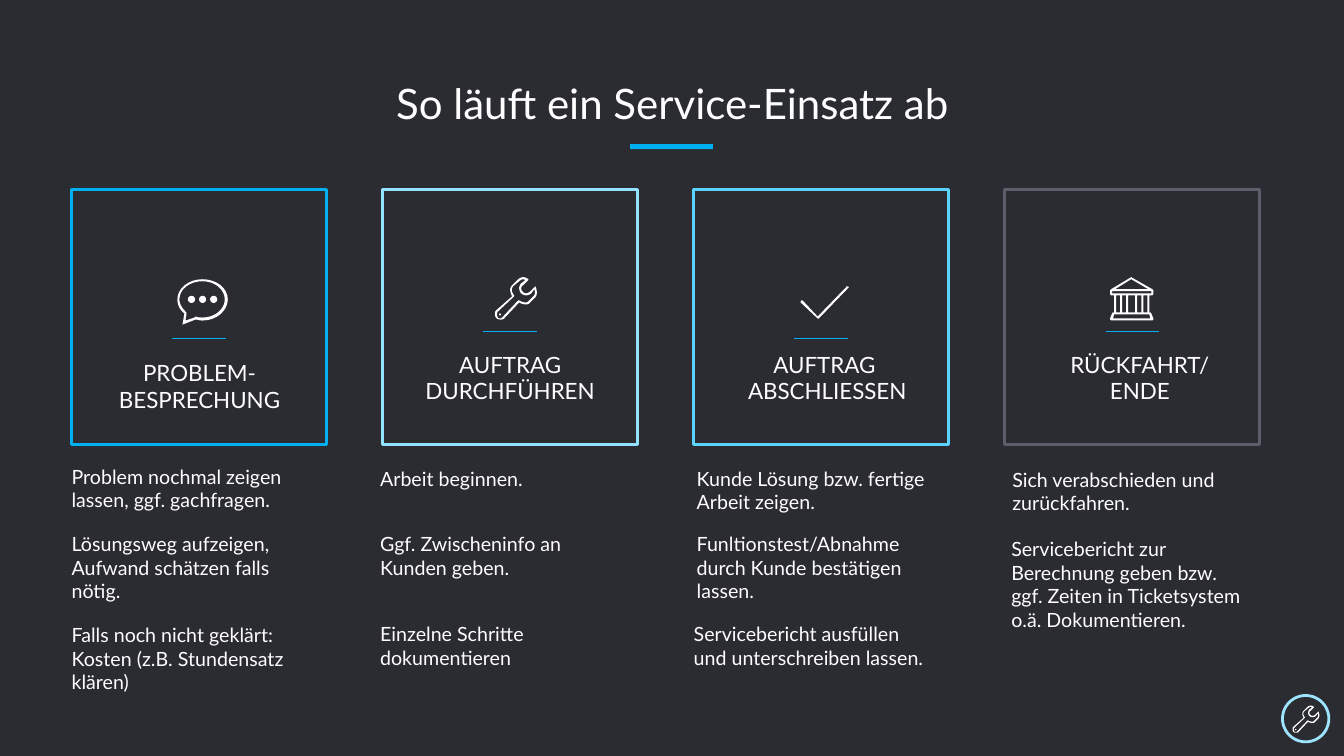
import pptx
import pptx.dml.color
import pptx.enum.shapes
import pptx.enum.text
import pptx.oxml
import pptx.util
from dataclasses import dataclass

Inches = pptx.util.Inches
Pt = pptx.util.Pt
SHAPE = pptx.enum.shapes.MSO_SHAPE
ALIGN = pptx.enum.text.PP_ALIGN
AUTO = pptx.enum.text.MSO_AUTO_SIZE

BACKGROUND, WHITE, BLUE = "2B2C31", "FEFDFF", "00B0F0"
CARD_LEFT, CARD_TOP, CARD_SIZE, CARD_PITCH = 0.71, 1.88, 2.53, 3.085
NOTE_WIDTH = 2.38

# Contours in hundredths of an inch: two numbers are a corner, six a Bézier curve
Contour = list[tuple[float, ...]]


def box(x1: float, y1: float, x2: float, y2: float) -> Contour:
    return [(x1, y1), (x2, y1), (x2, y2), (x1, y2)]


def dot(x: float, y: float, r: float) -> Contour:
    k = 0.55 * r
    return [(x, y - r), (x + k, y - r, x + r, y - k, x + r, y),
            (x + r, y + k, x + k, y + r, x, y + r),
            (x - k, y + r, x - r, y + k, x - r, y),
            (x - r, y - k, x - k, y - r, x, y - r)]


SPEECH_BUBBLE: list[Contour] = [
    [(25, 0), (11, 0, 0, 9, 0, 20), (0, 26, 3, 31, 7, 34), (5, 45), (18, 40),
     (20, 40, 22, 41, 25, 41), (39, 41, 50, 31, 50, 20), (50, 9, 39, 0, 25, 0)],
    [(25, 38), (23, 38, 21, 38, 18, 37), (17, 38), (8, 41), (9, 35),
     (9, 34, 9, 33, 9, 33), (5, 29, 2, 25, 2, 20), (2, 10, 12, 2, 25, 2),
     (37, 2, 47, 10, 47, 20), (47, 30, 37, 38, 25, 38)],
    *[dot(x, 20, 3.5) for x in (14, 25, 36)],
]
WRENCH: list[Contour] = [
    dot(5, 37, 1),
    [(40, 9), (39, 10), (35, 14), (34, 15, 32, 16, 31, 16),
     (29, 16, 26, 14, 26, 11), (26, 10, 27, 8, 28, 8), (26, 6),
     (25, 7, 24, 9, 24, 11), (24, 15, 27, 18, 31, 18), (33, 18, 35, 17, 36, 16),
     (39, 12), (40, 15, 40, 17, 38, 19), (33, 24), (32, 25, 31, 25, 30, 25),
     (30, 25, 27, 25, 24, 23), (23, 23), (8, 39), (7, 40, 6, 41, 5, 41),
     (3, 41, 2, 39, 2, 37), (2, 36, 2, 35, 3, 34), (19, 19), (19, 18),
     (16, 14, 16, 12, 18, 9), (24, 4), (25, 3, 27, 2, 28, 2),
     (28, 2, 29, 2, 30, 3), (26, 6), (28, 8), (33, 3), (33, 2),
     (32, 1, 30, 0, 28, 0), (26, 0, 24, 1, 22, 3), (17, 8),
     (14, 11, 15, 15, 17, 19), (1, 33), (0, 34, 0, 35, 0, 37),
     (0, 40, 2, 42, 5, 42), (7, 42, 8, 42, 9, 41), (24, 25),
     (27, 27, 30, 27, 30, 27), (32, 27, 33, 27, 34, 26), (40, 20),
     (42, 18, 42, 13, 40, 9)],
]
CHECK_MARK: list[Contour] = [
    [(48, 1), (47, 0), (46, 0), (17, 30), (2, 14), (1, 14), (0, 15), (0, 16),
     (17, 32), (18, 32), (47, 2)],
]
BANK: list[Contour] = [
    [(21, 0), (42, 12), (43, 13), (43, 17), (42, 18), (39, 18), (39, 35),
     (40, 35), (41, 36), (43, 41), (43, 42), (42, 43), (1, 43), (0, 42), (0, 41),
     (2, 36), (3, 35), (4, 35), (4, 18), (1, 18), (0, 17), (0, 13), (1, 12)],
    [(21, 2), (38, 12), (5, 12)],
    box(2, 14, 41, 16),
    *[box(x1, 18, x2, 35)
      for x1, x2 in ((6, 10), (12, 16), (18, 25), (27, 31), (33, 37))],
    [(39, 37), (40, 41), (3, 41), (4, 37)],
]


@dataclass
class Note:
    left: float
    top: float
    height: float
    text: str


@dataclass
class Card:
    color: str
    label: str
    label_left: float
    label_top: float
    label_width: float
    rule_top: float
    icon: list[Contour]
    icon_left: float
    icon_top: float
    notes: list[Note]


CARDS = [
    Card(BLUE, "PROBLEM-\vBESPRECHUNG", 1.16, 3.56, 1.64, 3.36, SPEECH_BUBBLE, 1.76, 2.77, [
        Note(0.71, 4.61, 0.47, "Problem nochmal zeigen lassen, ggf. gachfragen."),
        Note(0.71, 5.28, 0.71, "Lösungsweg aufzeigen, Aufwand schätzen falls nötig."),
        Note(0.71, 6.18, 0.71, "Falls noch nicht geklärt: Kosten (z.B. Stundensatz klären)")]),
    Card("93E2FF", "AUFTRAG\nDURCHFÜHREN", 4.2, 3.48, 1.72, 3.29, WRENCH, 4.91, 2.75, [
        Note(3.77, 4.63, 0.24, "Arbeit beginnen."),
        Note(3.77, 5.28, 0.47, "Ggf. Zwischeninfo an Kunden geben."),
        Note(3.77, 6.17, 0.47, "Einzelne Schritte dokumentieren")]),
    Card("5CD3FF", "AUFTRAG \nABSCHLIESSEN", 7.4, 3.48, 1.61, 3.36, CHECK_MARK, 7.94, 2.84, [
        Note(6.91, 4.63, 0.47, "Kunde Lösung bzw. fertige Arbeit zeigen."),
        Note(6.91, 5.28, 0.71, "Funltionstest/Abnahme durch Kunde bestätigen lassen."),
        Note(6.88, 6.17, 0.47, "Servicebericht ausfüllen und unterschreiben lassen.")]),
    Card("5B5D68", "RÜCKFAHRT/\nENDE", 10.58, 3.48, 1.45, 3.29, BANK, 11.01, 2.75, [
        Note(10.04, 4.64, 0.47, "Sich verabschieden und zurückfahren."),
        Note(10.03, 5.33, 0.94, "Servicebericht zur Berechnung geben bzw. ggf. Zeiten in "
                                "Ticketsystem o.ä. Dokumentieren.")]),
]


def rgb(color: str) -> pptx.dml.color.RGBColor:
    return pptx.dml.color.RGBColor.from_string(color)


def paint(sp, fill: str = "", line: str = "", width: float = 0) -> None:
    sp.shadow.inherit = False
    if fill:
        sp.fill.solid()
        sp.fill.fore_color.rgb = rgb(fill)
    else:
        sp.fill.background()
    if line:
        sp.line.color.rgb = rgb(line)
        sp.line.width = Pt(width)
    else:
        sp.line.fill.background()


def add_text(s, text: str, left: float, top: float, width: float, height: float,
             size: float, align=ALIGN.LEFT, wrap: bool = True) -> None:
    sp = s.shapes.add_textbox(Inches(left), Inches(top), Inches(width), Inches(height))
    tf = sp.text_frame
    tf.margin_left = tf.margin_right = tf.margin_top = tf.margin_bottom = 0
    tf.word_wrap = wrap
    tf.auto_size = AUTO.SHAPE_TO_FIT_TEXT
    tf.text = text
    for p in tf.paragraphs:
        p.alignment = align
        for r in p.runs:
            r.font.name = "Lato"
            r.font.size = Pt(size)
            r.font.color.rgb = rgb(WHITE)


def add_rule(s, left: float, top: float, width: float) -> None:
    line = s.shapes.add_connector(pptx.enum.shapes.MSO_CONNECTOR.STRAIGHT, Inches(left),
                                  Inches(top), Inches(left + width), Inches(top))
    line.line.color.rgb = rgb(BLUE)
    line.line.width = Pt(0.5)
    line._element.spPr.append(pptx.oxml.parse_xml(
        '<a:effectLst xmlns:a="http://schemas.openxmlformats.org/drawingml/2006/main"/>'))


def flatten(contour: Contour, steps: int = 8) -> list[tuple[float, float]]:
    points = [contour[0]]
    for part in contour[1:]:
        if len(part) == 2:
            points.append(part)
            continue
        (x0, y0), (x1, y1, x2, y2, x3, y3) = points[-1], part
        for i in range(1, steps + 1):
            t = i / steps
            a, b, c, d = (1 - t) ** 3, 3 * t * (1 - t) ** 2, 3 * t * t * (1 - t), t ** 3
            points.append((a * x0 + b * x1 + c * x2 + d * x3,
                           a * y0 + b * y1 + c * y2 + d * y3))
    return [(x * 100, y * 100) for x, y in points]


def add_icon(s, icon: list[Contour], left: float, top: float, zoom: float = 1) -> None:
    outlines = [flatten(contour) for contour in icon]
    builder = s.shapes.build_freeform(*outlines[0][0], scale=Inches(1) / 10000 * zoom)
    for i, points in enumerate(outlines):
        if i:
            builder.move_to(*points[0])
        builder.add_line_segments(points[1:], close=True)
    paint(builder.convert_to_shape(Inches(left), Inches(top)), fill=WHITE)


def add_card(s, card: Card, left: float) -> None:
    sp = s.shapes.add_shape(SHAPE.RECTANGLE, Inches(left), Inches(CARD_TOP),
                            Inches(CARD_SIZE), Inches(CARD_SIZE))
    paint(sp, line=card.color, width=2.5)
    add_icon(s, card.icon, card.icon_left, card.icon_top)
    add_rule(s, left + 1, card.rule_top, 0.53)
    add_text(s, card.label, card.label_left, card.label_top, card.label_width, 0.54,
             16, ALIGN.CENTER, wrap=False)
    for note in card.notes:
        add_text(s, note.text, note.left, note.top, NOTE_WIDTH, note.height, 14)


def main() -> None:
    prs = pptx.Presentation()
    prs.slide_width, prs.slide_height = Inches(13.33), Inches(7.5)
    s = prs.slides.add_slide(prs.slide_layouts[6])
    s.background.fill.solid()
    s.background.fill.fore_color.rgb = rgb(BACKGROUND)

    # Title with accent bar
    add_text(s, "So läuft ein Service-Einsatz ab", 3.2, 0.77, 6.94, 0.5, 30, ALIGN.CENTER)
    bar = s.shapes.add_shape(SHAPE.RECTANGLE, Inches(6.25), Inches(1.43),
                             Inches(0.82), Inches(0.05))
    paint(bar, fill=BLUE)

    # The four steps
    for i, card in enumerate(CARDS):
        add_card(s, card, CARD_LEFT + i * CARD_PITCH)

    # Corner badge
    badge = s.shapes.add_shape(SHAPE.OVAL, Inches(12.72), Inches(6.9),
                               Inches(0.46), Inches(0.46))
    paint(badge, line="9DE5FF", width=2)
    add_icon(s, WRENCH, 12.82, 7, zoom=0.64)

    prs.save("out.pptx")


if __name__ == "__main__":
    main()
